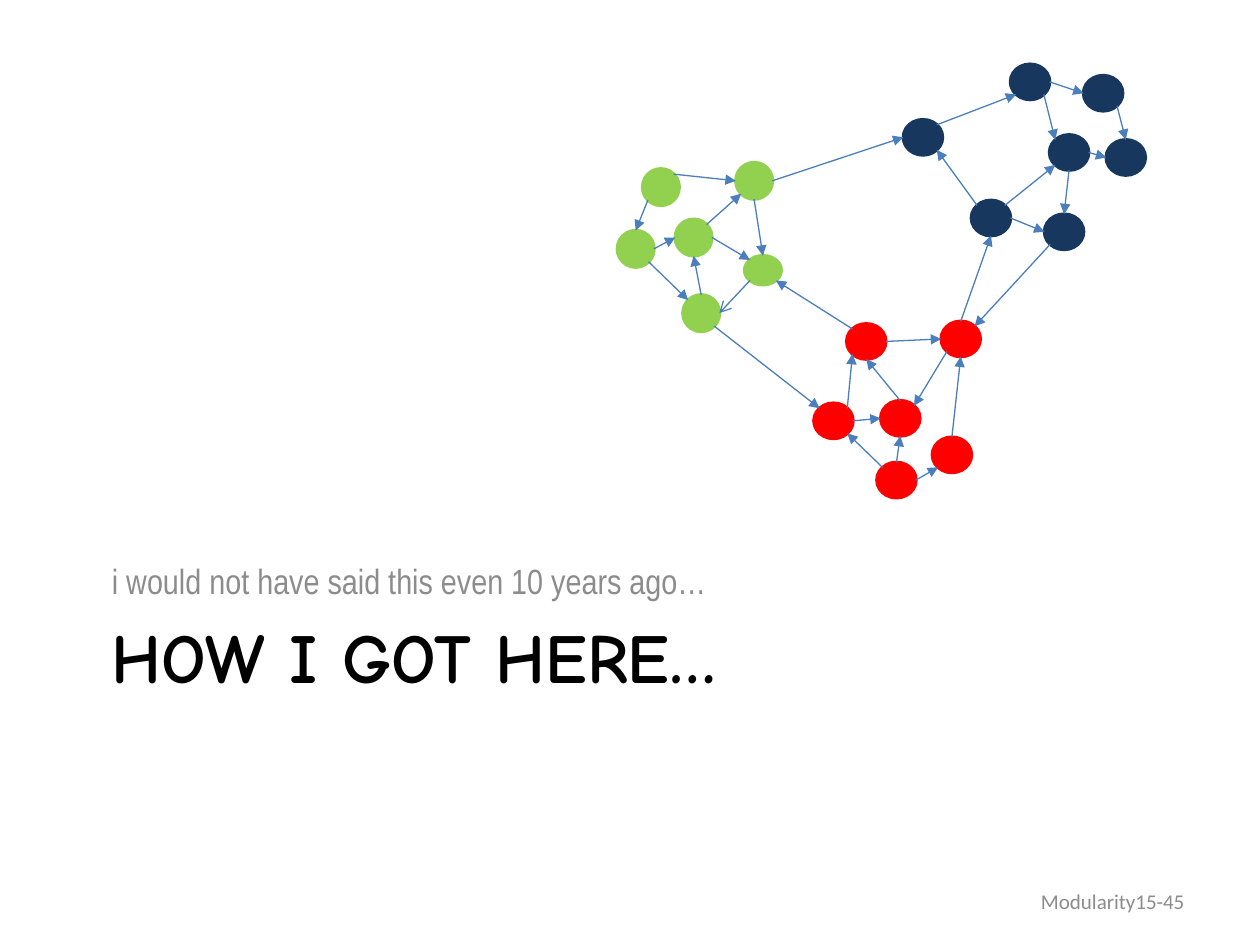
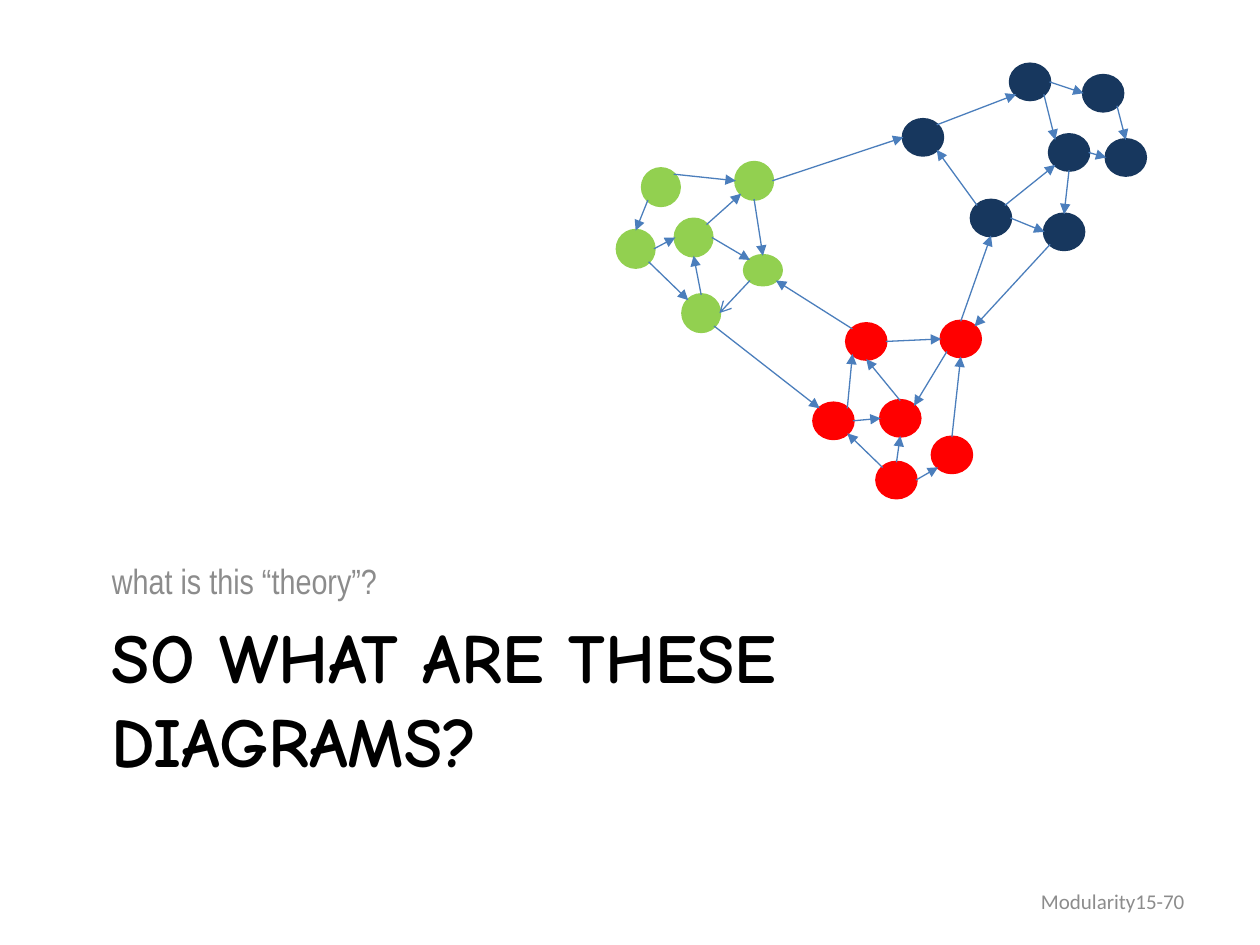
from math import sqrt

from lxml.etree import SubElement
from pptx import Presentation
from pptx.dml.color import RGBColor
from pptx.enum.shapes import MSO_CONNECTOR as Connector, MSO_SHAPE as Preset
from pptx.enum.text import MSO_ANCHOR as Anchor, PP_ALIGN as Align
from pptx.oxml.ns import qn
from pptx.util import Inches, Pt

BLACK = RGBColor(0x00, 0x00, 0x00)
GREY = RGBColor(0x8C, 0x8C, 0x8C)
NAVY = RGBColor(0x17, 0x37, 0x5E)
RED = RGBColor(0xFF, 0x00, 0x00)
GREEN = RGBColor(0x92, 0xD0, 0x50)
STEEL = RGBColor(0x4B, 0x7E, 0xBC)

WIDTH, HEIGHT = Inches(10), Inches(7.5)
COLUMNS, ROWS = 100, 75

TITLE = {"name": "Comic Neue", "size": Pt(40), "bold": True}
SUBTITLE = {"name": "Arial Narrow", "size": Pt(20)}
FOOTER = {"name": "Calibri", "size": Pt(12)}

# Each module: colour, node size in columns and rows, node corners
MODULES = {
    "n": (NAVY, (3.1, 2.8), [(71.7, 9.5), (80.2, 5.1), (86, 6), (87.8, 11.1),
                             (83.3, 10.7), (82.9, 17), (77.1, 15.9)]),
    "r": (RED, (3.1, 2.8), [(74.7, 25.5), (74, 34.7), (69.9, 31.8),
                            (69.6, 36.7), (64.6, 32), (67.2, 25.7)]),
    "g": (GREEN, (2.9, 2.9), [(59.1, 20.3), (58.4, 12.9), (53.6, 17.4),
                              (51, 13.4), (49, 18.3), (54.2, 23.4)]),
}
FLAT_NODES = {"g1": (2.9, 2.3)}

# Each link: start node, its compass side, end node, its compass side
LINKS = """
n2 E n3 W, n2 SE n5 NW, n3 SE n4 N, n5 E n4 W, n5 S n6 N, n7 NE n5 SW,
n7 NW n1 SE, n7 E n6 W, n1 NE n2 SW, g2 E n1 W, g4 NE g2 W, g4 SW g5 N,
g5 E g3 W, g3 NE g2 SW, g2 S g1 N, g6 N g3 S, g3 E g1 NW, g5 SE g6 NW,
r6 NW g1 SE, g6 SE r5 NW, r5 NE r6 SW, r6 E r1 W, r1 SW r3 NE, r2 N r1 S,
r4 E r2 SW, r4 N r3 S, r3 N r6 S, r4 NW r5 SE, r5 E r3 W, r1 N n7 S,
n6 SW r1 NE
"""
BACK_LINK = "g6 E g1 SW"

SECTIONS = [
    ("HOW I GOT HERE…", "i would not have said this even 10 years ago…", 45),
    ("SO WHAT ARE THESE\vDIAGRAMS?", "what is this “theory”?", 70),
]


def column(count):
    return round(WIDTH * count / COLUMNS)


def row(count):
    return round(HEIGHT * count / ROWS)


def site(oval, side):
    """Point on the oval's edge at a compass side, in columns and rows."""
    left, top, width, height = oval
    across = ("E" in side) - ("W" in side)
    down = ("S" in side) - ("N" in side)
    reach = sqrt(across ** 2 + down ** 2)
    return (left + width / 2 * (1 + across / reach),
            top + height / 2 * (1 + down / reach))


class SectionPage:
    def __init__(self, deck):
        self.page = deck.slides.add_slide(deck.slide_layouts[6])

    def text(self, words, area, style, color, anchor=Anchor.TOP, align=Align.LEFT):
        left, top, width, height = area
        box = self.page.shapes.add_textbox(
            column(left), row(top), column(width), row(height))
        frame = box.text_frame
        frame.word_wrap = True
        frame.vertical_anchor = anchor
        para = frame.paragraphs[0]
        para.text = words
        para.alignment = align
        for span in para.runs:
            for name, value in style.items():
                setattr(span.font, name, value)
            span.font.color.rgb = color

    def node(self, group, oval, color):
        left, top, width, height = oval
        shape = group.shapes.add_shape(
            Preset.OVAL, column(left), row(top), column(width), row(height))
        shape.shadow.inherit = False
        shape.fill.solid()
        shape.fill.fore_color.rgb = color
        shape.line.color.rgb = color
        shape.line.width = Pt(2)

    def arrow(self, group, start, finish, end="a:tailEnd", tip="triangle"):
        line = group.shapes.add_connector(
            Connector.STRAIGHT, column(start[0]), row(start[1]),
            column(finish[0]), row(finish[1]))
        line.line.color.rgb = STEEL
        line.line.width = Pt(0.75)
        SubElement(line.line._get_or_add_ln(), qn(end), type=tip)
        SubElement(line._element.spPr, qn("a:effectLst"))

    def network(self):
        group = self.page.shapes.add_group_shape()
        ovals = {}
        for letter, (color, size, corners) in MODULES.items():
            for number, corner in enumerate(corners, 1):
                name = f"{letter}{number}"
                ovals[name] = (*corner, *FLAT_NODES.get(name, size))
                self.node(group, ovals[name], color)

        def ends(link):
            source, exit_side, target, entry_side = link.split()
            return site(ovals[source], exit_side), site(ovals[target], entry_side)

        for link in LINKS.split(","):
            self.arrow(group, *ends(link))
        self.arrow(group, *ends(BACK_LINK), end="a:headEnd", tip="arrow")


def main():
    deck = Presentation()
    deck.slide_width, deck.slide_height = WIDTH, HEIGHT
    for title, subtitle, number in SECTIONS:
        section = SectionPage(deck)
        section.text(title, (7.9, 48.2, 85, 14.9), TITLE, BLACK)
        section.text(subtitle, (7.9, 31.8, 85, 16.4), SUBTITLE, GREY, Anchor.BOTTOM)
        section.network()
        section.text(f"Modularity15-{number}", (71.7, 69.5, 23.3, 4), FOOTER, GREY,
                     Anchor.MIDDLE, Align.RIGHT)
    deck.save("out.pptx")


if __name__ == "__main__":
    main()
